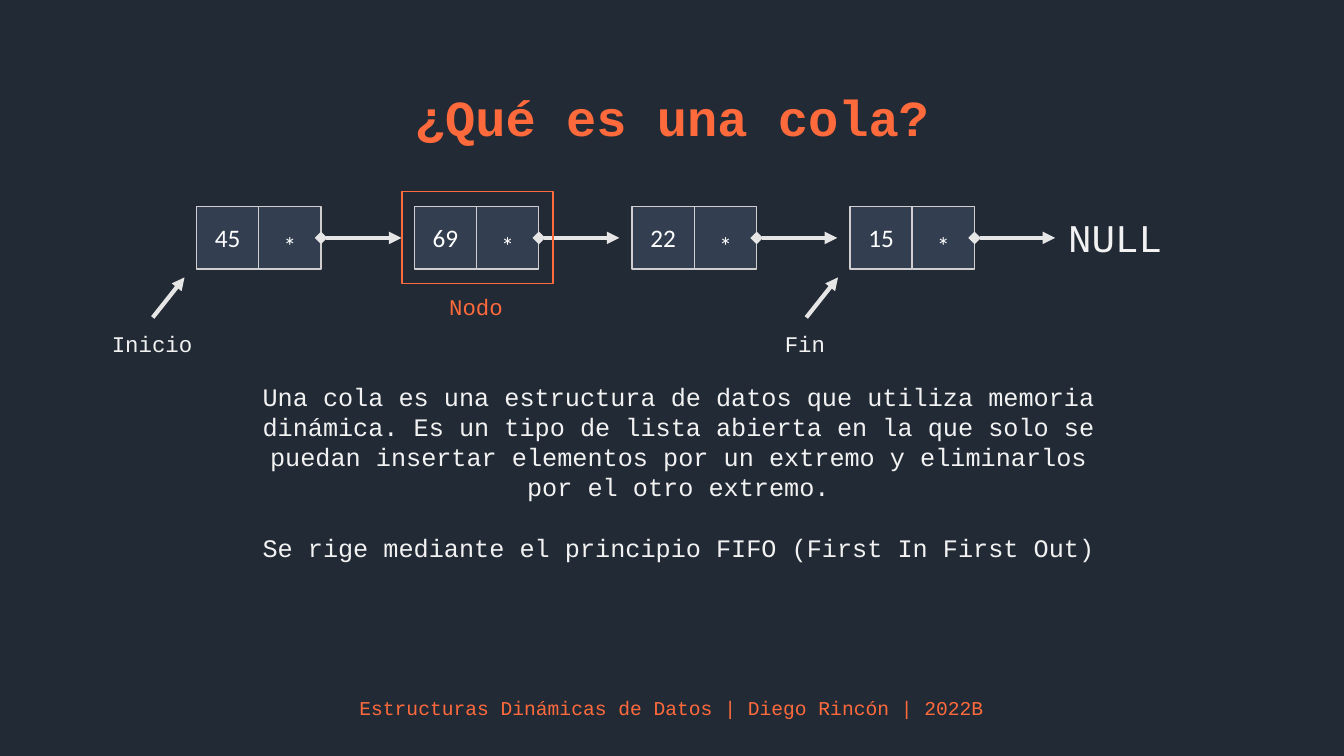
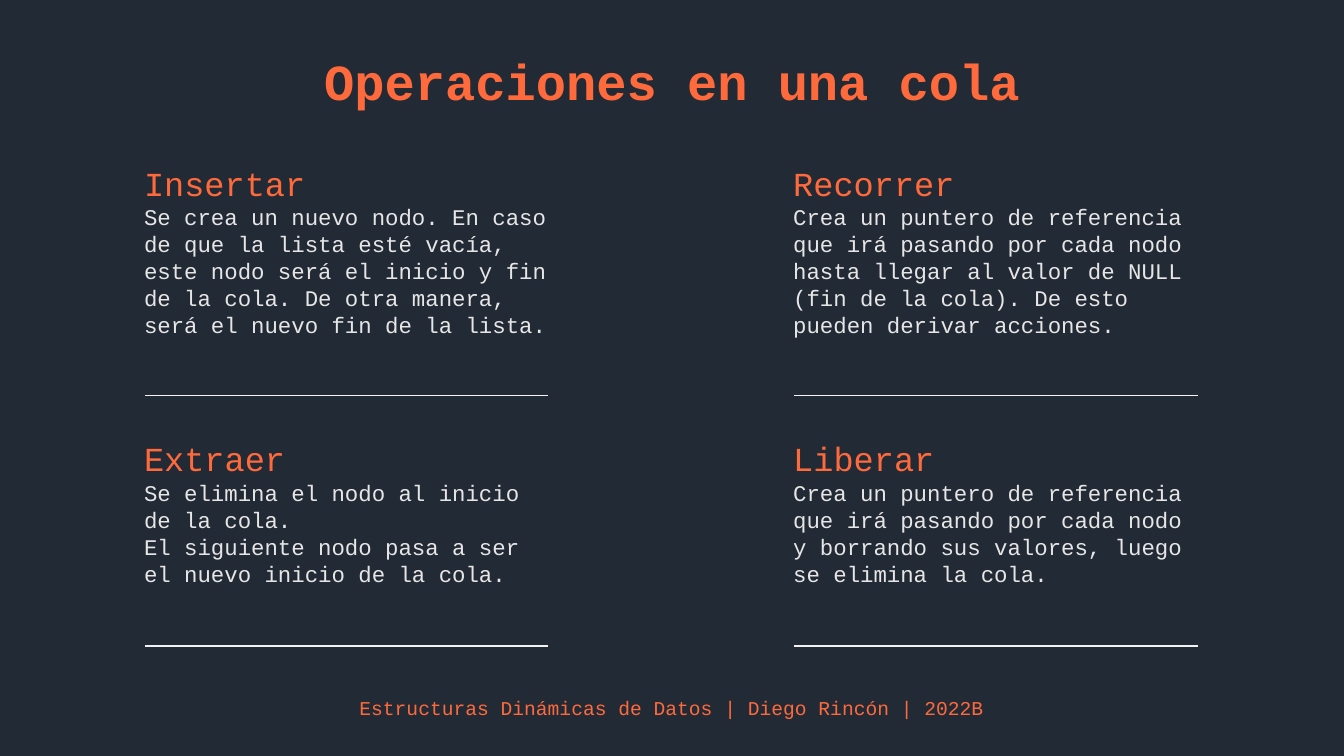
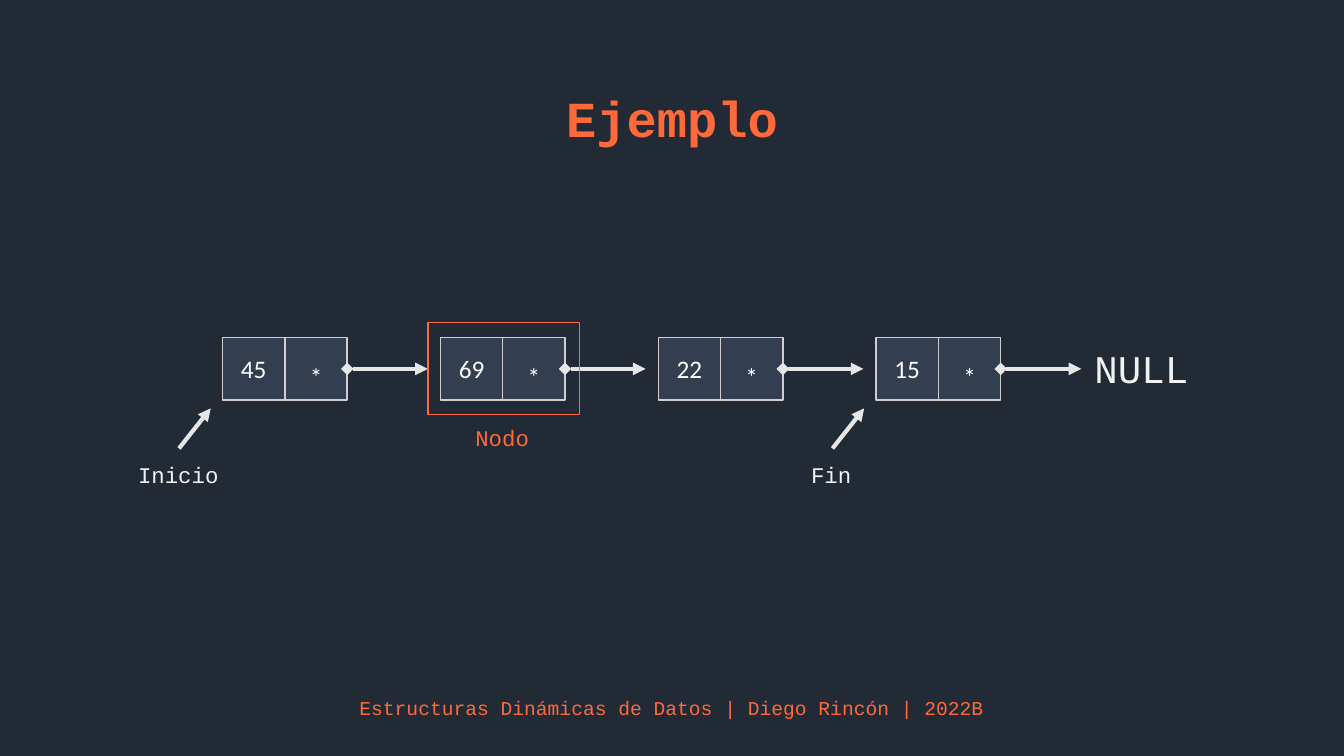
"""Builds three slides that explain the queue data structure."""
import pptx
import pptx.util
import pptx.dml.color
import pptx.enum.shapes
import pptx.enum.text
import pptx.oxml
import pptx.oxml.ns

Cm = pptx.util.Cm
Pt = pptx.util.Pt
ALIGN = pptx.enum.text.PP_ALIGN
ANCHOR = pptx.enum.text.MSO_ANCHOR
FIT = pptx.enum.text.MSO_AUTO_SIZE
RECTANGLE = pptx.enum.shapes.MSO_SHAPE.RECTANGLE

COLORS = {
    name: pptx.dml.color.RGBColor.from_string(value)
    for name, value in {
        "background": "222A35",
        "accent": "FE6A3C",
        "cell": "333F50",
        "border": "D0CECE",
        "arrow": "E7E6E6",
        "light": "F2F2F2",
        "white": "FFFFFF",
    }.items()
}
MONO = "Courier New"
STYLES = {
    "title": ("accent", {"name": MONO, "size": Pt(36), "bold": True}),
    "footer": ("accent", {"name": MONO, "size": Pt(14)}),
    "heading": ("accent", {"name": MONO, "size": Pt(24)}),
    "definition": ("light", {"name": MONO, "size": Pt(18)}),
    "description": ("arrow", {"name": MONO, "size": Pt(16)}),
    "pointer": ("light", {"name": MONO, "size": Pt(16)}),
    "node": ("accent", {"name": MONO, "size": Pt(16)}),
    "null": ("light", {"name": MONO, "size": Pt(28)}),
    "cell": ("white", {"name": "Calibri", "size": Pt(18)}),
}
SLIDE_WIDTH, SLIDE_HEIGHT = 33.87, 19.05
FOOTER = "Estructuras Dinámicas de Datos | Diego Rincón | 2022B"


def write_text(shape, text, style, frame_format, paragraph_format):
    """Fill a shape with text in one of the named styles."""
    color, font_format = STYLES[style]
    frame = shape.text_frame
    frame.text = text
    defaults = {"word_wrap": False, "vertical_anchor": ANCHOR.TOP, "auto_size": FIT.SHAPE_TO_FIT_TEXT}
    for name, value in {**defaults, **frame_format}.items():
        setattr(frame, name, value)
    for paragraph in frame.paragraphs:
        for name, value in paragraph_format.items():
            setattr(paragraph, name, value)
        for run in paragraph.runs:
            for name, value in font_format.items():
                setattr(run.font, name, value)
            run.font.color.rgb = COLORS[color]


def draw_line(slide, start, end, color, width, **arrowheads):
    """Draw a straight line with optional headEnd and tailEnd arrowheads."""
    kind = pptx.enum.shapes.MSO_CONNECTOR.STRAIGHT
    connector = slide.shapes.add_connector(kind, *map(Cm, start + end))
    connector.line.color.rgb = COLORS[color]
    connector.line.width = Pt(width)
    properties = connector._element.spPr
    outline = properties.find(pptx.oxml.ns.qn("a:ln"))
    for tag, arrowhead in arrowheads.items():
        outline.append(pptx.oxml.parse_xml(
            f'<a:{tag} {pptx.oxml.ns.nsdecls("a")} type="{arrowhead}"/>'))
    properties.append(pptx.oxml.parse_xml(f'<a:effectLst {pptx.oxml.ns.nsdecls("a")}/>'))


presentation = pptx.Presentation()
presentation.slide_width = Cm(SLIDE_WIDTH)
presentation.slide_height = Cm(SLIDE_HEIGHT)
background = presentation.slide_master.background.fill
background.solid()
background.fore_color.rgb = COLORS["background"]

slides = []
for layout, title, top, width in [
    (1, "¿Qué es una cola?", 2.03, 13.61),
    (5, "Operaciones en una cola", 1.14, 18.24),
    (5, "Ejemplo", 2.08, 5.89),
]:
    slide = presentation.slides.add_slide(presentation.slide_layouts[layout])
    slides.append(slide)
    heading = slide.shapes.title
    position = {"left": (SLIDE_WIDTH - width) / 2, "top": top, "width": width, "height": 1.8}
    for name, value in position.items():
        setattr(heading, name, Cm(value))
    write_text(heading, title, "title", {}, {"alignment": ALIGN.CENTER})
    footer = slide.shapes.add_textbox(Cm((SLIDE_WIDTH - 16.33) / 2), Cm(17.42), Cm(16.33), Cm(0.86))
    write_text(footer, FOOTER, "footer", {}, {"alignment": ALIGN.CENTER})

definition_slide, operations_slide, example_slide = slides

definition = definition_slide.placeholders[1]
for name, value in {"left": 6.15, "top": 9.47, "width": 21.89, "height": 4.88}.items():
    setattr(definition, name, Cm(value))
write_text(
    definition,
    "Una cola es una estructura de datos que utiliza memoria dinámica. Es un tipo de lista "
    "abierta en la que solo se puedan insertar elementos por un extremo y eliminarlos por "
    "el otro extremo.\nSe rige mediante el principio FIFO (First In First Out)",
    "definition", {"word_wrap": True}, {"alignment": ALIGN.CENTER, "space_before": Pt(0)})
definition.text_frame.paragraphs[1].space_before = Pt(21.5)
for paragraph in definition.text_frame.paragraphs:
    properties = paragraph._p.get_or_add_pPr()
    properties.set("marL", "0")
    properties.set("indent", "0")
    properties.append(pptx.oxml.parse_xml(f'<a:buNone {pptx.oxml.ns.nsdecls("a")}/>'))

CELL = 1.57
NODE_PITCH = 5.49
VALUES = ["45", "69", "22", "15"]
for slide, left, top in [(definition_slide, 4.95, 5.21), (example_slide, 5.61, 8.51)]:
    for index, number in enumerate(VALUES):
        node_left = left + index * NODE_PITCH
        for column, (text, spacing) in enumerate([(number, 1.0), ("*", 1.5)]):
            cell = slide.shapes.add_shape(
                RECTANGLE, Cm(node_left + column * CELL), Cm(top), Cm(CELL), Cm(CELL))
            cell.shadow.inherit = False
            cell.fill.solid()
            cell.fill.fore_color.rgb = COLORS["cell"]
            cell.line.color.rgb = COLORS["border"]
            cell.line.width = Pt(1)
            write_text(
                cell, text, "cell",
                {"word_wrap": True, "vertical_anchor": ANCHOR.MIDDLE, "auto_size": FIT.NONE},
                {"alignment": ALIGN.CENTER, "line_spacing": spacing})
    for index in range(len(VALUES)):
        start = left + index * NODE_PITCH + 2 * CELL
        middle = top + CELL / 2
        draw_line(slide, (start, middle), (start + 2.03, middle), "arrow", 3,
                  headEnd="diamond", tailEnd="triangle")
    for index in (0, len(VALUES) - 1):
        node_left = left + index * NODE_PITCH
        draw_line(slide, (node_left - 1.1, top + 2.79), (node_left - 0.3, top + 1.78),
                  "arrow", 3, tailEnd="triangle")
    frame = slide.shapes.add_shape(RECTANGLE, Cm(left + 5.18), Cm(top - 0.38), Cm(3.81), Cm(2.31))
    frame.shadow.inherit = False
    frame.fill.background()
    frame.line.color.rgb = COLORS["accent"]
    frame.line.width = Pt(1)
    for text, style, across, down, width, height in [
        ("NULL", "null", 21.72, 0.05, 2.9, 1.44),
        ("Inicio", "pointer", -2.38, 2.99, 2.57, 0.94),
        ("Fin", "pointer", 14.58, 2.99, 1.55, 0.94),
        ("Nodo", "node", 6.12, 2.05, 1.88, 0.94),
    ]:
        label = slide.shapes.add_textbox(Cm(left + across), Cm(top + down), Cm(width), Cm(height))
        write_text(label, text, style, {}, {})

OPERATION_ROWS = [
    (3.99, 5.0, 3.68, 9.96, [
        ("Insertar", "Se crea un nuevo nodo. En caso de que la lista esté vacía, este nodo será "
                     "el inicio y fin de la cola. De otra manera, será el nuevo fin de la lista."),
        ("Recorrer", "Crea un puntero de referencia que irá pasando por cada nodo hasta llegar al "
                     "valor de NULL (fin de la cola). De esto pueden derivar acciones."),
    ]),
    (10.9, 11.96, 3.0, 16.28, [
        ("Extraer", "Se elimina el nodo al inicio de la cola.\n"
                    "El siguiente nodo pasa a ser el nuevo inicio de la cola."),
        ("Liberar", "Crea un puntero de referencia que irá pasando por cada nodo y borrando sus "
                    "valores, luego se elimina la cola."),
    ]),
]
COLUMNS = [(3.38, 10.74), (19.74, 10.44)]
for heading_top, text_top, text_height, rule_top, operations in OPERATION_ROWS:
    for (left, width), (name, text) in zip(COLUMNS, operations):
        heading = operations_slide.shapes.add_textbox(
            Cm(left), Cm(heading_top), Cm(0.51 * (len(name) + 1)), Cm(1.27))
        write_text(heading, name, "heading", {}, {})
        description = operations_slide.shapes.add_textbox(
            Cm(left), Cm(text_top), Cm(width), Cm(text_height))
        write_text(description, text, "description", {"word_wrap": True}, {})
        draw_line(operations_slide, (left + 0.28, rule_top), (left + 10.44, rule_top), "light", 1)

presentation.save("out.pptx")
